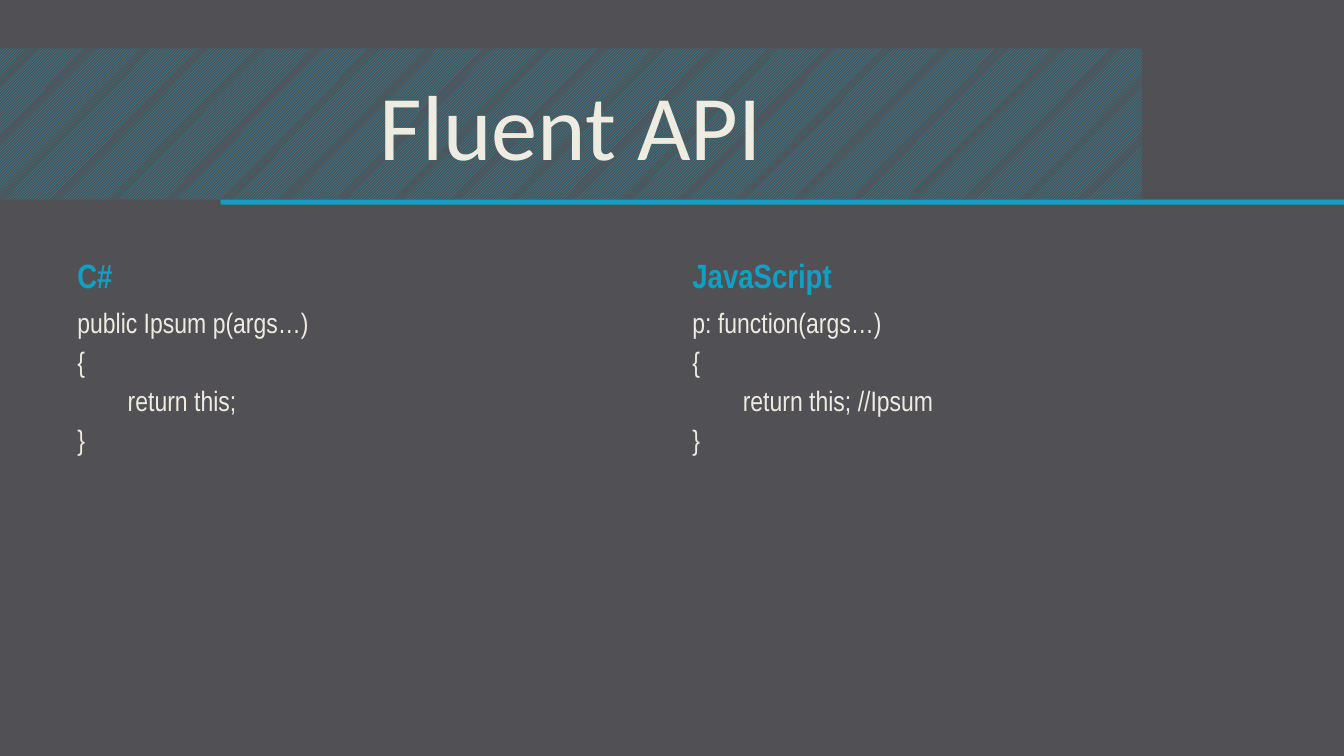
from lxml import etree
from pptx import Presentation
from pptx import util as u
from pptx.dml import color, fill
from pptx.enum import dml, shapes, text
from pptx.oxml import ns

COLORS = {
    "slate": "515155",
    "cyan": "10A0C5",
    "cream": "EEECE1",
    "outline": "6A696A",
}
TITLE_FONT = {"name": "Calibri", "size": u.Pt(66)}
HEADING_FONT = {"name": "Arial Narrow", "size": u.Pt(24), "bold": True}
CODE_FONT = {"name": "Arial Narrow", "size": u.Pt(20)}

SAMPLES = [
    ("C#", ["public Ipsum p(args…)", "{", "\treturn this;", "}"]),
    ("JavaScript", ["p: function(args…)", "{", "\treturn this; //Ipsum", "}"]),
]


def rgb(name):
    return color.RGBColor.from_string(COLORS[name])


def place(box):
    return [u.Cm(length) for length in box]


def add_span(para, words, font, tint):
    span = para.add_run()
    span.text = words
    for key, value in font.items():
        setattr(span.font, key, value)
    span.font.color.rgb = rgb(tint)
    return span


def add_rectangle(page, box):
    shape = page.shapes.add_shape(shapes.MSO_SHAPE.RECTANGLE, *place(box))
    shape.shadow.inherit = False
    shape.line.fill.background()
    return shape


def outline_text(span, tint, width):
    line = etree.Element(ns.qn("a:ln"), w=str(u.Pt(width)))
    solid = etree.SubElement(line, ns.qn("a:solidFill"))
    etree.SubElement(solid, ns.qn("a:srgbClr"), val=COLORS[tint])
    span.font._element.insert(0, line)


def space_before(para, percent):
    spacing = etree.Element(ns.qn("a:spcBef"))
    etree.SubElement(spacing, ns.qn("a:spcPct"), val=str(percent * 1000))
    para._p.get_or_add_pPr().insert(0, spacing)


def add_banner(page, box, words):
    banner = add_rectangle(page, box)
    banner.fill.patterned()
    banner.fill.pattern = dml.MSO_PATTERN.LIGHT_UPWARD_DIAGONAL
    banner.fill.fore_color.rgb = rgb("cyan")
    banner.fill.back_color.rgb = rgb("slate")
    banner.text_frame.vertical_anchor = text.MSO_ANCHOR.MIDDLE
    para = banner.text_frame.paragraphs[0]
    para.alignment = text.PP_ALIGN.CENTER
    outline_text(add_span(para, words, TITLE_FONT, "cream"), "outline", 0.75)


def add_rule(page, box):
    rule = add_rectangle(page, box)
    rule.fill.solid()
    rule.fill.fore_color.rgb = rgb("cyan")


def add_lines(page, box, lines, font, tint, anchor):
    frame = page.shapes.add_textbox(*place(box)).text_frame
    frame.word_wrap = True
    frame.vertical_anchor = anchor
    for index, words in enumerate(lines):
        para = frame.add_paragraph() if index else frame.paragraphs[0]
        space_before(para, 20)
        add_span(para, words, font, tint)


def add_sample(page, box, heading, code):
    left, top, width, height = box
    head = 1.78
    add_lines(page, (left, top, width, head), [heading],
              HEADING_FONT, "cyan", text.MSO_ANCHOR.BOTTOM)
    add_lines(page, (left, top + head, width, height - head), code,
              CODE_FONT, "cream", text.MSO_ANCHOR.TOP)


def build_slide(deck):
    page = deck.slides.add_slide(deck.slide_layouts[6])
    page.background.fill.solid()
    page.background.fill.fore_color.rgb = rgb("slate")
    add_banner(page, (0, 1.22, 28.78, 3.81), "Fluent API")
    add_rule(page, (5.56, 5.03, 28.31, 0.13))
    for column, (heading, code) in enumerate(SAMPLES):
        add_sample(page, (1.7 + column * 15.5, 5.79, 14.96, 12.75), heading, code)


deck = Presentation()
deck.slide_width, deck.slide_height = place((33.87, 19.05))
build_slide(deck)
deck.save("out.pptx")
